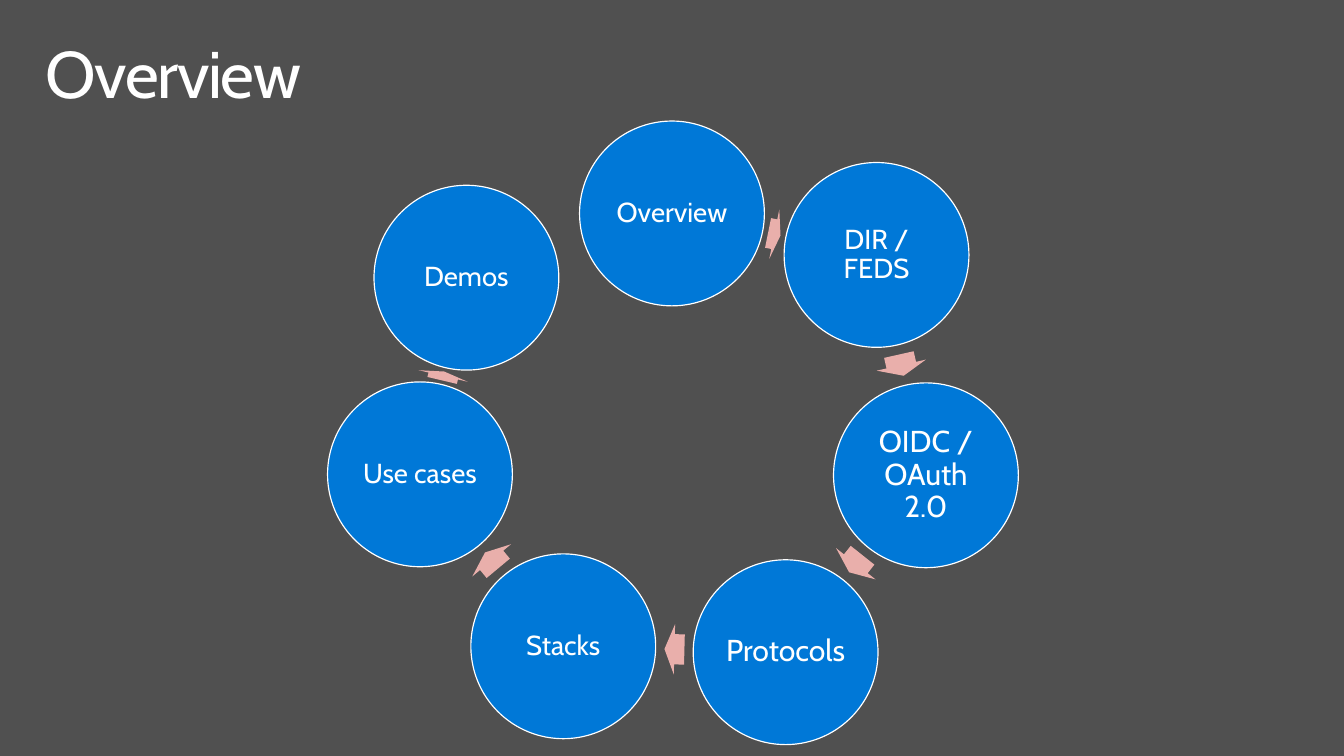
"""Build the overview slide: a ring of topic circles joined by arrows."""
import math
from itertools import pairwise

from pptx import Presentation
from pptx.dml.color import RGBColor
from pptx.enum.shapes import MSO_SHAPE
from pptx.enum.text import MSO_ANCHOR, PP_ALIGN
from pptx.util import Inches, Pt

OVAL, ARROW = MSO_SHAPE.OVAL, MSO_SHAPE.RIGHT_ARROW
LEFT, CENTER = PP_ALIGN.LEFT, PP_ALIGN.CENTER
TOP, MIDDLE = MSO_ANCHOR.TOP, MSO_ANCHOR.MIDDLE

COLORS = {"back": "505050", "circle": "0078D7", "arrow": "E9AFAB", "text": "FFFFFF"}
FONT = "Cabin"
DIAMETER = 1.87
ARROW_HEIGHT = 0.51
ARROW_SHARE = 0.53

TOPICS = [
    ("Overview", 6.8, 2.16, 20),
    ("DIR / FEDS", 8.87, 2.58, 20),
    ("OIDC / OAuth 2.0", 9.37, 4.81, 22),
    ("Protocols", 7.95, 6.6, 22),
    ("Stacks", 5.7, 6.54, 20),
    ("Use cases", 4.25, 4.8, 20),
    ("Demos", 4.72, 2.81, 20),
]


def color(name):
    return RGBColor.from_string(COLORS[name])


def write(tf, text, size, align=LEFT, anchor=TOP, margins=(0.03, 0.03), spacing=None):
    tf.word_wrap = True
    tf.vertical_anchor = anchor
    tf.margin_left = tf.margin_right = Inches(margins[0])
    tf.margin_top = tf.margin_bottom = Inches(margins[1])
    p = tf.paragraphs[0]
    p.alignment = align
    p.line_spacing = 0.9
    r = p.add_run()
    r.text = text
    r.font.name = FONT
    r.font.size = Pt(size)
    r.font.color.rgb = color("text")
    if spacing is not None:
        r.font._element.set("spc", str(spacing))


class Deck:
    def __init__(self, prs):
        self.s = prs.slides.add_slide(prs.slide_layouts[6])
        self.s.background.fill.solid()
        self.s.background.fill.fore_color.rgb = color("back")

    def shape(self, kind, cx, cy, w, h, fill):
        sp = self.s.shapes.add_shape(
            kind, Inches(cx - w / 2), Inches(cy - h / 2), Inches(w), Inches(h))
        sp.shadow.inherit = False
        sp.fill.solid()
        sp.fill.fore_color.rgb = color(fill)
        sp.line.fill.background()
        return sp

    def title(self, text):
        sp = self.s.shapes.add_textbox(Inches(0.3), Inches(0.32), Inches(13), Inches(1))
        write(sp.text_frame, text, 48, margins=(0.16, 0.1), spacing=-100)

    def circle(self, text, cx, cy, size):
        sp = self.shape(OVAL, cx, cy, DIAMETER, DIAMETER, "circle")
        sp.line.color.rgb = color("text")
        sp.line.width = Pt(0.85)
        write(sp.text_frame, text, size, align=CENTER, anchor=MIDDLE)

    def arrow(self, x1, y1, x2, y2):
        gap = math.dist((x1, y1), (x2, y2)) - DIAMETER
        sp = self.shape(ARROW, (x1 + x2) / 2, (y1 + y2) / 2,
                        gap * ARROW_SHARE, ARROW_HEIGHT, "arrow")
        sp.adjustments[0] = 0.6
        sp.adjustments[1] = 0.5
        sp.rotation = math.degrees(math.atan2(y2 - y1, x2 - x1)) % 360


def main():
    prs = Presentation()
    prs.slide_width, prs.slide_height = Inches(13.6), Inches(7.65)
    deck = Deck(prs)
    deck.title("Overview")
    for topic in TOPICS:
        deck.circle(*topic)
    for (_, x1, y1, _), (_, x2, y2, _) in pairwise(TOPICS):
        deck.arrow(x1, y1, x2, y2)
    prs.save("out.pptx")


if __name__ == "__main__":
    main()
